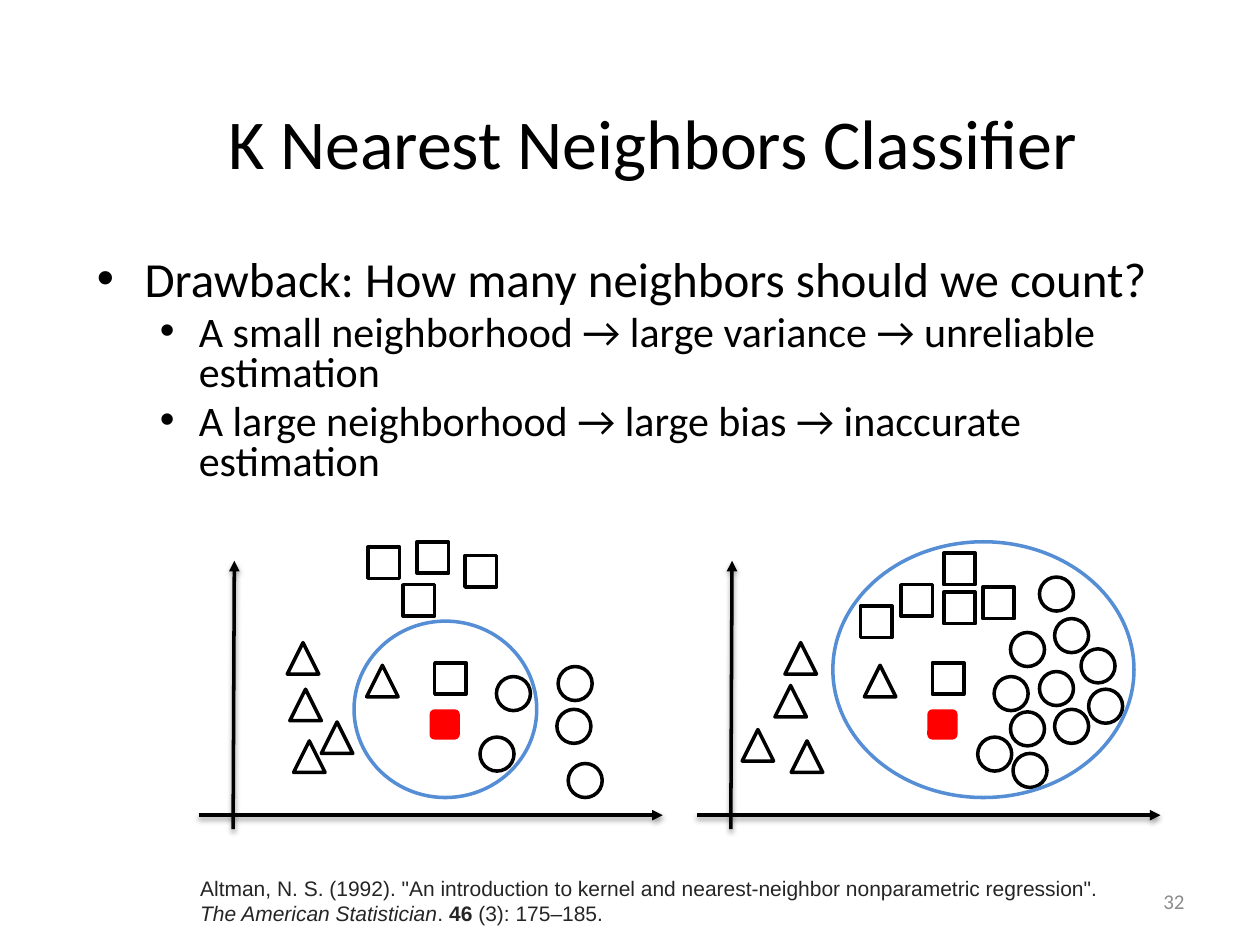
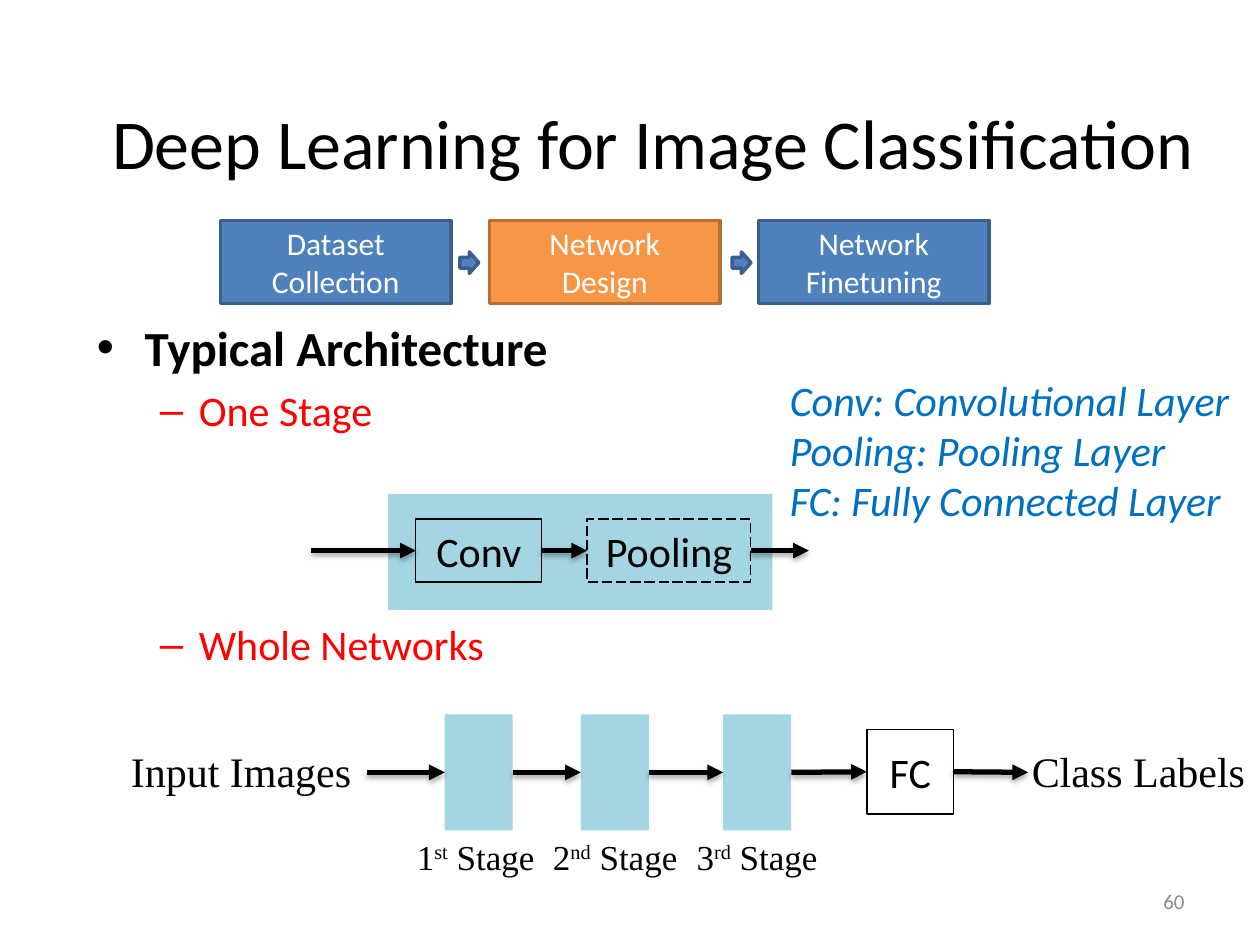
from dataclasses import dataclass

from pptx import Presentation
from pptx.dml.color import RGBColor
from pptx.enum.dml import MSO_LINE
from pptx.enum.shapes import MSO_CONNECTOR, MSO_SHAPE
from pptx.enum.text import MSO_ANCHOR, PP_ALIGN
from pptx.oxml.ns import qn
from pptx.oxml.xmlchemy import OxmlElement
from pptx.util import Inches, Pt

RECT = MSO_SHAPE.RECTANGLE
ROUNDED = MSO_SHAPE.ROUNDED_RECTANGLE
OVAL = MSO_SHAPE.OVAL
TRIANGLE = MSO_SHAPE.ISOSCELES_TRIANGLE
RIGHT_ARROW = MSO_SHAPE.RIGHT_ARROW
STRAIGHT = MSO_CONNECTOR.STRAIGHT
LONG_DASH = MSO_LINE.LONG_DASH
TOP, MIDDLE = MSO_ANCHOR.TOP, MSO_ANCHOR.MIDDLE
LEFT, CENTER, RIGHT = PP_ALIGN.LEFT, PP_ALIGN.CENTER, PP_ALIGN.RIGHT
LEFT_SIDE, RIGHT_SIDE = 1, 3


@dataclass(frozen=True)
class Theme:
    """Colours, fonts and type sizes shared by the slides."""
    black: str = "000000"
    white: str = "FFFFFF"
    red: str = "FF0000"
    grey: str = "8C8C8C"
    citation: str = "252525"
    ring: str = "558ED5"
    legend: str = "0070C0"
    blue: str = "4F81BD"
    blue_edge: str = "3A5F8C"
    orange: str = "F79646"
    orange_edge: str = "B76F34"
    teal: str = "4BACC6"
    sans: str = "Calibri"
    serif: str = "Times New Roman"
    plain: str = "Arial"
    title: int = 40
    heading: int = 28
    body: int = 24
    stage: int = 20
    step: int = 18
    small: int = 12


THEME = Theme()
BULLET_INDENTS = [(0.38, -0.38), (0.81, -0.31)]

SHARED_POINTS = {
    TRIANGLE: [(1.33, 5.28), (0.7, 5.1), (0.75, 5.88)],
    RECT: [(1.62, 4.64), (1.87, 5.26)],
    OVAL: [(2.36, 5.37), (2.84, 5.63), (2.23, 5.85)],
}
SMALL_PLOT_POINTS = {
    TRIANGLE: [(0.97, 5.73), (0.72, 5.47)],
    RECT: [(1.34, 4.34), (1.73, 4.3), (2.11, 4.41)],
    OVAL: [(2.85, 5.29), (2.93, 6.06)],
}
LARGE_PLOT_POINTS = {
    TRIANGLE: [(0.36, 5.79), (0.62, 5.44)],
    RECT: [(1.3, 4.81), (1.96, 4.39), (2.27, 4.66), (1.96, 4.7)],
    OVAL: [(2.72, 5.33), (2.84, 4.91), (2.49, 5.65), (2.51, 5.98),
           (2.49, 5.02), (3.11, 5.47), (3.05, 5.15), (2.72, 4.58)],
}
MARKER_SIZES = {TRIANGLE: 0.25, RECT: 0.25, OVAL: 0.27}


def xml_child(parent, tag, **attributes):
    """Append an XML element with attributes and return it."""
    child = OxmlElement(tag)
    for name, value in attributes.items():
        child.set(name, str(value))
    parent.append(child)
    return child


def add_span(para, text, size, color=THEME.black, font=THEME.sans,
             bold=False, italic=False, baseline=0):
    """Add one formatted run to a paragraph."""
    span = para.add_run()
    span.text = text
    span.font.size = Pt(size)
    span.font.name = font
    span.font.bold = bold
    span.font.italic = italic
    span.font.color.rgb = RGBColor.from_string(color)
    if baseline:
        span.font._element.set("baseline", str(baseline * 1000))


def next_para(frame, index):
    """Return the first paragraph of a frame, or a new one after it."""
    return frame.add_paragraph() if index else frame.paragraphs[0]


def add_text(page, at, lines, align=LEFT, anchor=TOP, wrap=True):
    """Add a text box; each line is a list of (text, format) spans."""
    box = page.shapes.add_textbox(*map(Inches, at))
    frame = box.text_frame
    frame.word_wrap = wrap
    frame.vertical_anchor = anchor
    for index, spans in enumerate(lines):
        para = next_para(frame, index)
        para.alignment = align
        for text, style in spans:
            add_span(para, text, **style)
    return box


def add_bullets(page, at, items):
    """Add bulleted text from (level, mark, text, spacing, style) items."""
    frame = page.shapes.add_textbox(*map(Inches, at)).text_frame
    frame.word_wrap = True
    for index, (level, mark, text, before, spacing, style) in enumerate(items):
        para = next_para(frame, index)
        para.level = level
        margin, indent = BULLET_INDENTS[level]
        properties = para._p.get_or_add_pPr()
        properties.set("marL", str(Inches(margin)))
        properties.set("indent", str(Inches(indent)))
        xml_child(properties, "a:buFont", typeface=THEME.plain)
        xml_child(properties, "a:buChar", char=mark)
        para.space_before = Pt(before)
        para.line_spacing = spacing
        add_span(para, text, **style)


def add_box(page, kind, at, fill=None, line=None, weight=2, lines=(),
            size=THEME.body, color=THEME.black, opacity=None, dash=None):
    """Add a preset shape with optional fill, outline and centred text."""
    box = page.shapes.add_shape(kind, *map(Inches, at))
    box.shadow.inherit = False
    if fill:
        box.fill.solid()
        box.fill.fore_color.rgb = RGBColor.from_string(fill)
        if opacity:
            tint = box._element.spPr.find(qn("a:solidFill"))[0]
            xml_child(tint, "a:alpha", val=opacity * 1000)
    else:
        box.fill.background()
    if line:
        box.line.color.rgb = RGBColor.from_string(line)
        box.line.width = Pt(weight)
        if dash:
            box.line.dash_style = dash
    else:
        box.line.fill.background()
    frame = box.text_frame
    frame.word_wrap = True
    frame.vertical_anchor = MIDDLE
    for index, text in enumerate(lines):
        para = next_para(frame, index)
        para.alignment = CENTER
        add_span(para, text, size, color)
    return box


def add_arrow(page, start, end, weight=3, opacity=35):
    """Draw a shadowed arrow between points or the sides of boxes."""
    start_joined = not isinstance(start, tuple)
    end_joined = not isinstance(end, tuple)
    start_at = (0, 0) if start_joined else start
    end_at = (0, 0) if end_joined else end
    arrow = page.shapes.add_connector(STRAIGHT, *map(Inches, start_at + end_at))
    if start_joined:
        arrow.begin_connect(start, RIGHT_SIDE)
    if end_joined:
        arrow.end_connect(end, LEFT_SIDE)
    arrow.line.color.rgb = RGBColor.from_string(THEME.black)
    arrow.line.width = Pt(weight)
    properties = arrow._element.spPr
    xml_child(properties.find(qn("a:ln")), "a:tailEnd", type="triangle")
    effects = xml_child(properties, "a:effectLst")
    shadow = xml_child(effects, "a:outerShdw", blurRad=Pt(3.1), dist=Pt(1.7),
                       dir=5400000, rotWithShape=0)
    tint = xml_child(shadow, "a:srgbClr", val=THEME.black)
    xml_child(tint, "a:alpha", val=opacity * 1000)


def add_page(deck, title, number):
    """Add a blank slide with its title and slide number."""
    page = deck.slides.add_slide(deck.slide_layouts[6])
    add_text(page, (0.69, 0.4, 8.98, 1.45),
             [[(title, dict(size=THEME.title))]], CENTER, MIDDLE)
    add_text(page, (7.17, 6.95, 2.33, 0.4),
             [[(number, dict(size=THEME.small, color=THEME.grey))]],
             RIGHT, MIDDLE)
    return page


def add_neighbor_plot(page, left, extra_points, neighborhood):
    """Draw axes, class markers, the query point and its neighborhood."""
    for points in (SHARED_POINTS, extra_points):
        for kind, places in points.items():
            side = MARKER_SIZES[kind]
            for x, y in places:
                add_box(page, kind, (left + x, y, side, side), line=THEME.black)
    add_arrow(page, (left + 0.27, 6.58), (left + 0.28, 4.45), 2, 38)
    add_box(page, ROUNDED, (left + 1.83, 5.63, 0.24, 0.24), THEME.red)
    x, y, width, height = neighborhood
    add_box(page, OVAL, (left + x, y, width, height), line=THEME.ring)
    add_arrow(page, (left, 6.47), (left + 3.68, 6.47), 2, 38)


def build_neighbors(deck):
    """Build the slide on the size of the neighborhood."""
    page = add_page(deck, "K Nearest Neighbors Classifier", "32")
    body = dict(size=THEME.body)
    add_bullets(page, (0.67, 1.92, 9, 2.1), [
        (0, "•", "Drawback: How many neighbors should we count?", 0, 1.0,
         dict(size=THEME.heading)),
        (1, "•", "A small neighborhood → large variance → unreliable estimation",
         4.8, 0.8, body),
        (1, "•", "A large neighborhood → large bias → inaccurate estimation",
         4.8, 0.8, body),
    ])
    add_neighbor_plot(page, 1.58, SMALL_PLOT_POINTS, (1.23, 4.93, 1.45, 1.4))
    add_neighbor_plot(page, 5.53, LARGE_PLOT_POINTS, (1.08, 4.3, 2.39, 2.03))
    cite = dict(size=THEME.small, color=THEME.citation, font=THEME.plain)
    add_text(page, (1.49, 6.9, 7.39, 0.5), [[
        ('Altman, N. S. (1992). "An introduction to kernel and '
         'nearest-neighbor nonparametric regression". ', cite),
        ("The American Statistician", dict(cite, italic=True)),
        (". ", cite),
        ("46", dict(cite, bold=True)),
        (" (3): 175–185.", cite),
    ]])


def add_workflow(page):
    """Draw the three workflow steps with the current one highlighted."""
    steps = [(["Dataset Collection"], THEME.blue, THEME.blue_edge),
             (["Network", "Design"], THEME.orange, THEME.orange_edge),
             (["Network", "Finetuning"], THEME.blue, THEME.blue_edge)]
    for index, (lines, fill, edge) in enumerate(steps):
        add_box(page, RECT, (1.75 + 2.135 * index, 1.75, 1.83, 0.66), fill, edge,
                lines=lines, size=THEME.step, color=THEME.white)
    for left in (3.65, 5.81):
        add_box(page, RIGHT_ARROW, (left, 2, 0.15, 0.17), THEME.blue, THEME.blue_edge)


def add_one_stage(page):
    """Draw the layers inside one stage."""
    add_box(page, RECT, (3.08, 3.92, 3.05, 0.92), THEME.teal, opacity=50)
    conv = add_box(page, RECT, (3.3, 4.12, 1, 0.5), line=THEME.black,
                   weight=0.75, lines=["Conv"])
    pooling = add_box(page, RECT, (4.66, 4.12, 1.3, 0.5), line=THEME.black,
                      weight=0.75, lines=["Pooling"], dash=LONG_DASH)
    add_arrow(page, (2.47, 4.37), conv)
    add_arrow(page, conv, pooling)
    add_arrow(page, pooling, (6.42, 4.37))


def add_whole_network(page):
    """Draw the chain from input images through stages to class labels."""
    serif = dict(size=THEME.body, font=THEME.serif)
    stage = dict(size=THEME.stage, font=THEME.serif)
    add_text(page, (0.94, 5.87, 1.97, 0.5), [[("Input Images", serif)]], wrap=False)
    previous = (2.91, 6.13)
    stages = [(3.53, 3.21, "1", "st"), (4.61, 4.29, "2", "nd"), (5.74, 5.43, "3", "rd")]
    for left, label_left, digit, suffix in stages:
        block = add_box(page, RECT, (left, 5.67, 0.54, 0.92), THEME.teal, opacity=50)
        add_arrow(page, previous, block)
        add_text(page, (label_left, 6.58, 1.2, 0.44),
                 [[(digit, stage), (suffix, dict(stage, baseline=30)),
                   (" Stage", stage)]], wrap=False)
        previous = block
    connected = add_box(page, RECT, (6.88, 5.79, 0.69, 0.67), line=THEME.black,
                        weight=0.75, lines=["FC"])
    add_arrow(page, previous, connected)
    add_arrow(page, connected, (8.16, 6.13))
    add_text(page, (8.09, 5.87, 1.91, 0.5), [[("Class Labels", serif)]], wrap=False)


def build_architecture(deck):
    """Build the slide on the typical network architecture."""
    page = add_page(deck, "Deep Learning for Image Classification", "60")
    topic = dict(size=THEME.body, color=THEME.red)
    add_bullets(page, (0.67, 2.47, 9.25, 3), [
        (0, "•", "Typical Architecture", 0, 1.0, dict(size=THEME.heading, bold=True)),
        (1, "–", "One Stage", 4.8, 1.0, topic),
        (1, "–", "Whole Networks", 105, 1.0, topic),
    ])
    add_workflow(page)
    add_one_stage(page)
    add_whole_network(page)
    legend = dict(size=THEME.body, color=THEME.legend, italic=True)
    names = ["Conv: Convolutional Layer", "Pooling: Pooling Layer",
             "FC: Fully Connected Layer"]
    add_text(page, (6.17, 2.92, 3.73, 1.31),
             [[(name, legend)] for name in names], wrap=False)


def main():
    """Build the deck and save it."""
    deck = Presentation()
    deck.slide_width, deck.slide_height = Inches(10), Inches(7.5)
    build_neighbors(deck)
    build_architecture(deck)
    deck.save("out.pptx")


if __name__ == "__main__":
    main()
